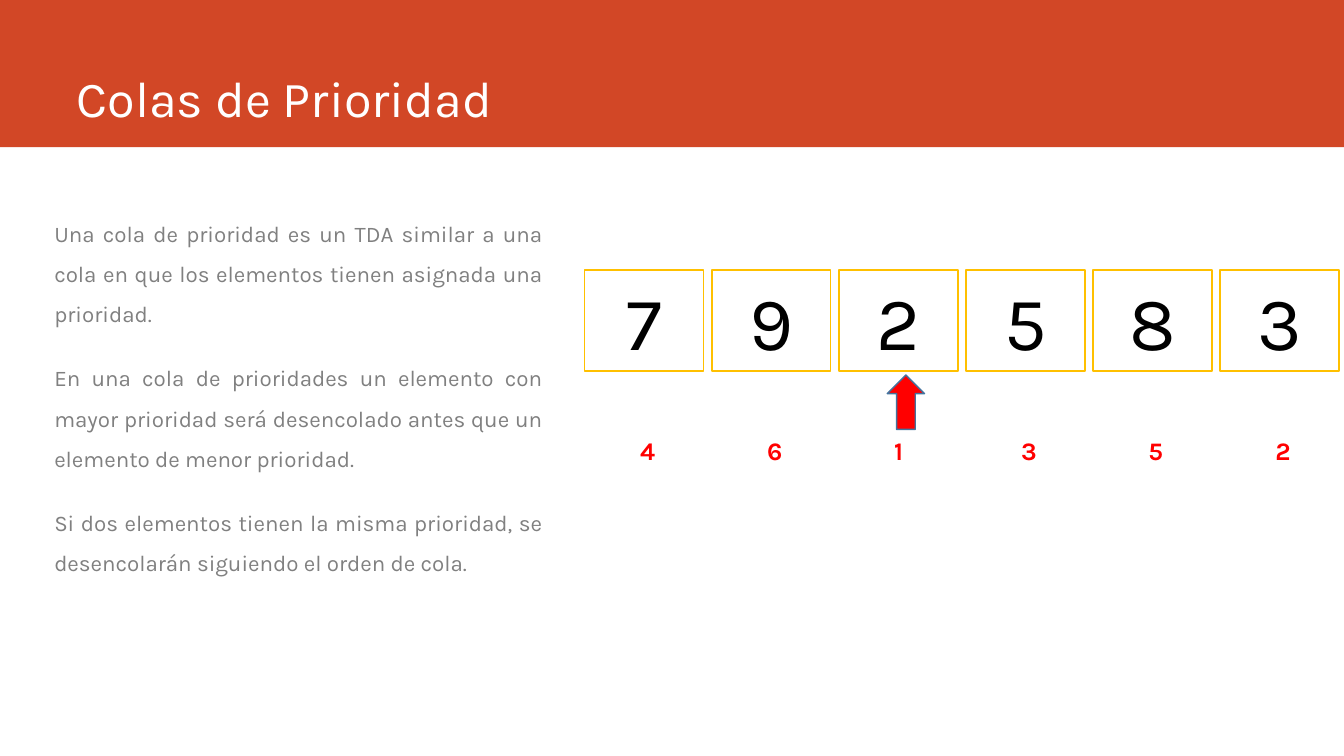
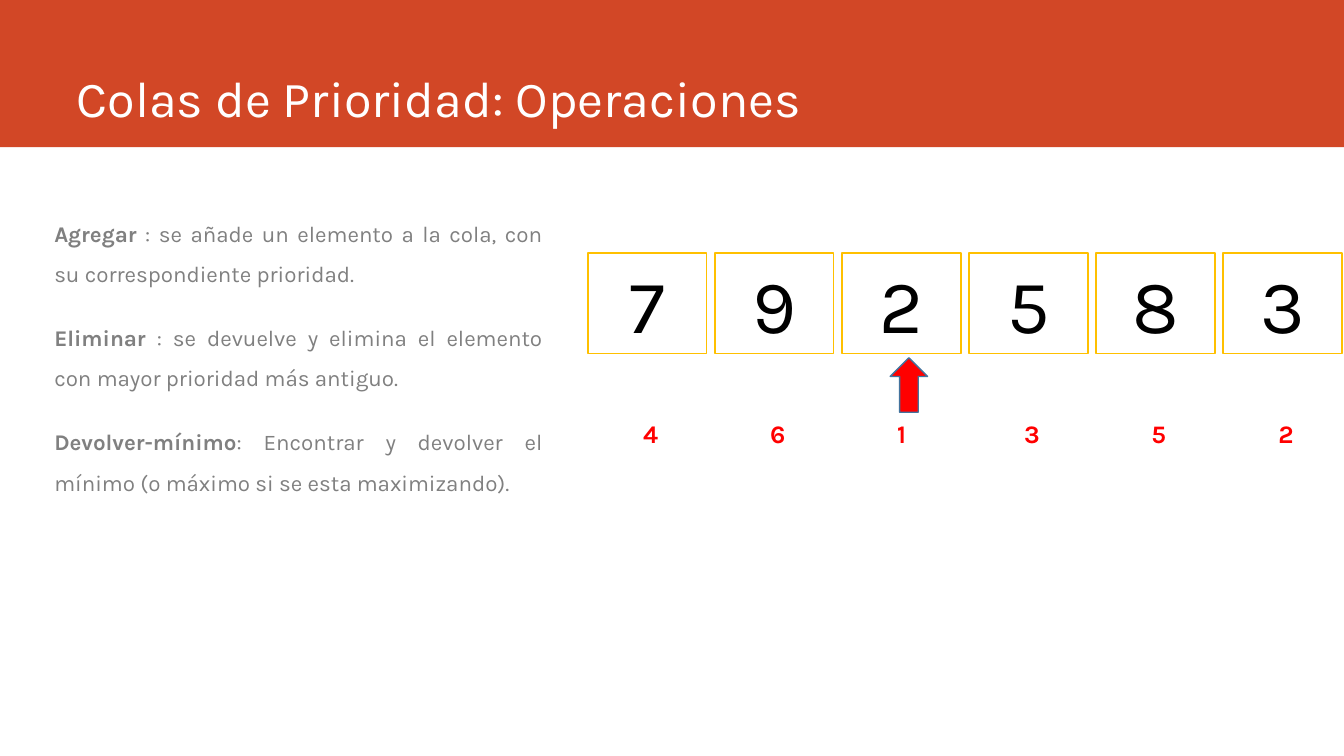
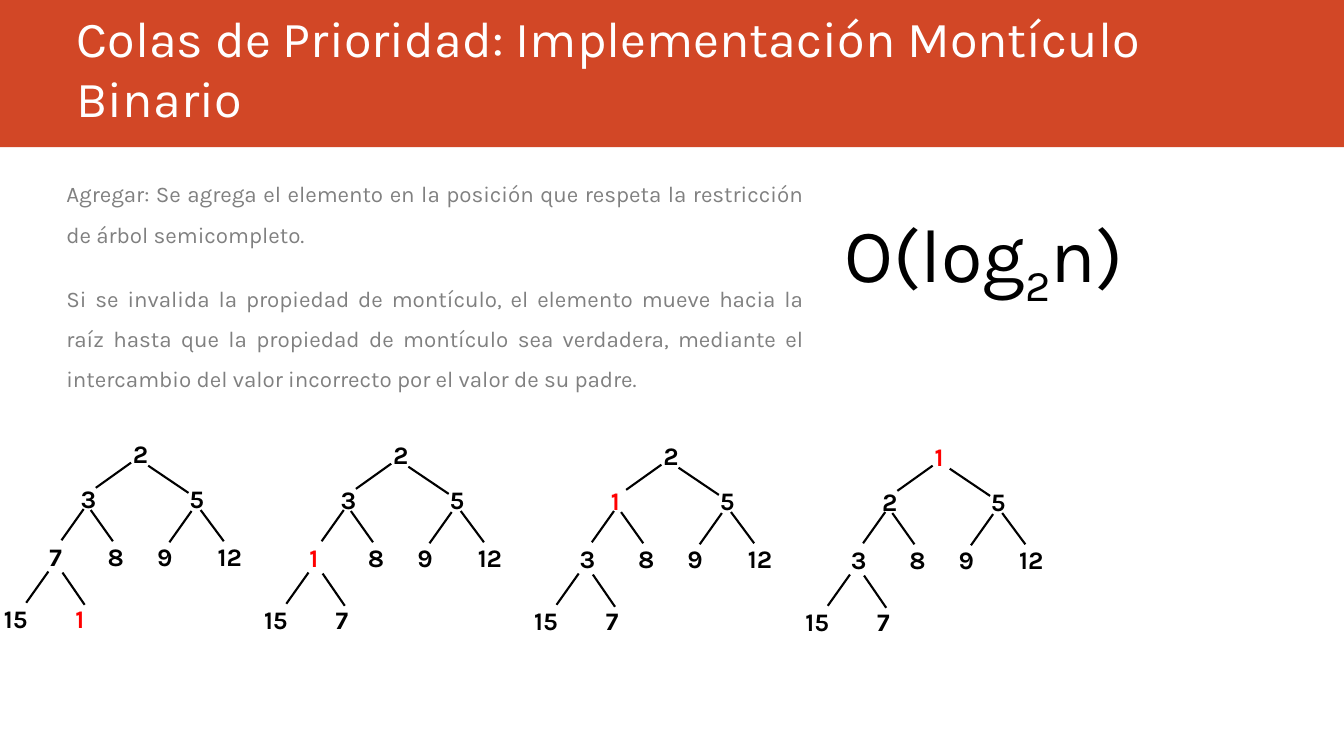
from dataclasses import dataclass

from lxml import etree
from pptx import Presentation
from pptx import util as u
from pptx.dml.color import RGBColor
from pptx.enum import shapes, text
from pptx.oxml.ns import qn

# Shared look
SLIDE_WIDTH, SLIDE_HEIGHT = 13.33, 7.5
BAND_HEIGHT = 1.46
FONT = "Karla"
ORANGE = RGBColor(0xD2, 0x47, 0x26)
WHITE = RGBColor(0xFF, 0xFF, 0xFF)
BLACK = RGBColor(0x00, 0x00, 0x00)
GRAY = RGBColor(0x80, 0x80, 0x80)
GOLD = RGBColor(0xFF, 0xC0, 0x00)
RED = RGBColor(0xFF, 0x00, 0x00)
BLUE = RGBColor(0x43, 0x73, 0x9E)


@dataclass(frozen=True)
class Box:
    left: float
    top: float
    width: float
    height: float

    def inches(self) -> tuple:
        return tuple(u.Inches(n) for n in (self.left, self.top, self.width, self.height))


@dataclass(frozen=True)
class Span:
    text: str
    bold: bool = False
    subscript: bool = False


@dataclass(frozen=True)
class QueueItem:
    value: int
    priority: int


@dataclass(frozen=True)
class TreeSlot:
    """Label offset from the root, and the edge up to the parent."""
    left: float
    top: float
    edge: tuple = ()


@dataclass(frozen=True)
class Tree:
    left: float
    top: float
    values: tuple
    marked: int


TITLE_BOX = Box(0.66, 0, 11.76, 1.32)
BODY_BOX = Box(0.44, 2, 5.04, 4.76)

# Queue: six columns at an equal pitch
QUEUE = (QueueItem(7, 4), QueueItem(9, 6), QueueItem(2, 1),
         QueueItem(5, 3), QueueItem(8, 5), QueueItem(3, 2))
QUEUE_PITCH = 1.26

# Heap: slots in level order
LEVELS = (0, 0.45, 1.02, 1.64)
SLOTS = (
    TreeSlot(0, LEVELS[0]),
    TreeSlot(-0.52, LEVELS[1], (-0.27, 0.54, 0.08, 0.29)),
    TreeSlot(0.56, LEVELS[1], (0.65, 0.59, 0.25, 0.32)),
    TreeSlot(-0.83, LEVELS[2], (-0.61, 1.06, -0.39, 0.75)),
    TreeSlot(-0.25, LEVELS[2], (-0.1, 1.07, -0.32, 0.76)),
    TreeSlot(0.24, LEVELS[2], (0.46, 1.08, 0.68, 0.77)),
    TreeSlot(0.84, LEVELS[2], (1, 1.07, 0.77, 0.76)),
    TreeSlot(-1.28, LEVELS[3], (-0.96, 1.68, -0.74, 1.37)),
    TreeSlot(-0.57, LEVELS[3], (-0.38, 1.7, -0.6, 1.38)),
)
TREES = (
    Tree(1.22, 4.3, (2, 3, 5, 7, 8, 9, 12, 15, 1), 8),
    Tree(3.8, 4.31, (2, 3, 5, 1, 8, 9, 12, 15, 7), 3),
    Tree(6.48, 4.32, (2, 1, 5, 3, 8, 9, 12, 15, 7), 1),
    Tree(9.17, 4.33, (1, 2, 5, 3, 8, 9, 12, 15, 7), 0),
)

# Wording
DEFINITION = (
    (Span("Una cola de prioridad es un TDA similar a una cola en que los elementos "
          "tienen asignada una prioridad."),),
    (Span("En una cola de prioridades un elemento con mayor prioridad será desencolado "
          "antes que un elemento de menor prioridad."),),
    (Span("Si dos elementos tienen la misma prioridad, se desencolarán siguiendo el "
          "orden de cola."),),
)
OPERATIONS = (
    (Span("Agregar", bold=True),
     Span(" : se añade un elemento a la cola, con su correspondiente prioridad.")),
    (Span("Eliminar", bold=True),
     Span(" : se devuelve y elimina el elemento con mayor prioridad más antiguo.")),
    (Span("Devolver-mínimo", bold=True),
     Span(": Encontrar y devolver el mínimo (o máximo si se esta maximizando).")),
)
INSERTION = (
    (Span("Agregar: Se agrega el elemento en la posición que respeta la restricción de "
          "árbol semicompleto."),),
    (Span("Si se invalida la propiedad de montículo, el elemento mueve hacia la raíz "
          "hasta que la propiedad de montículo sea verdadera, mediante el intercambio "
          "del valor incorrecto por el valor de su padre."),),
)
COMPLEXITY = ((Span("O(log"), Span("2", subscript=True), Span("n)")),)


def format_run(run, size: float, color: RGBColor, bold: bool = False) -> None:
    run.font.name = FONT
    run.font.size = u.Pt(size)
    run.font.color.rgb = color
    run.font.bold = bold


def add_text(slide, box: Box, paragraphs: tuple, size: float, color: RGBColor,
             align=text.PP_ALIGN.LEFT, wrap: bool = True):
    frame = slide.shapes.add_textbox(*box.inches()).text_frame
    frame.word_wrap = wrap
    for index, spans in enumerate(paragraphs):
        paragraph = frame.add_paragraph() if index else frame.paragraphs[0]
        paragraph.alignment = align
        for span in spans:
            run = paragraph.add_run()
            run.text = span.text
            format_run(run, size, color, span.bold)
            if span.subscript:
                run._r.get_or_add_rPr().set("baseline", "-25000")
    return frame


def add_body(slide, paragraphs: tuple, box: Box = BODY_BOX) -> None:
    frame = add_text(slide, box, paragraphs, 16, GRAY, text.PP_ALIGN.JUSTIFY)
    for paragraph in frame.paragraphs:
        paragraph.line_spacing = 1.5
        paragraph.space_before = u.Pt(5)
        paragraph.space_after = u.Pt(12)


def add_label(slide, left: float, top: float, value: int, color: RGBColor) -> None:
    width = 0.51 if value > 9 else 0.35
    add_text(slide, Box(left, top, width, 0.4), ((Span(str(value), bold=True),),), 18, color)


def add_filled(slide, kind, box: Box, fill: RGBColor, line: RGBColor):
    shape = slide.shapes.add_shape(kind, *box.inches())
    shape.shadow.inherit = False
    shape.fill.solid()
    shape.fill.fore_color.rgb = fill
    shape.line.color.rgb = line
    shape.line.width = u.Pt(1)
    return shape


def add_edge(slide, tree: Tree, edge: tuple) -> None:
    start_x, start_y, end_x, end_y = edge
    connector = slide.shapes.add_connector(
        shapes.MSO_CONNECTOR.STRAIGHT,
        u.Inches(tree.left + start_x), u.Inches(tree.top + start_y),
        u.Inches(tree.left + end_x), u.Inches(tree.top + end_y))
    connector.line.color.rgb = BLACK
    connector.line.width = u.Pt(1.5)
    etree.SubElement(connector.element.spPr, qn("a:effectLst"))


def add_queue(slide, left: float, top: float) -> None:
    for column, item in enumerate(QUEUE):
        cell_left = left + column * QUEUE_PITCH
        cell = add_filled(slide, shapes.MSO_SHAPE.RECTANGLE,
                          Box(cell_left, top, 1.18, 1), WHITE, GOLD)
        cell.text_frame.text = str(item.value)
        cell.text_frame.vertical_anchor = text.MSO_ANCHOR.MIDDLE
        paragraph = cell.text_frame.paragraphs[0]
        paragraph.alignment = text.PP_ALIGN.CENTER
        format_run(paragraph.runs[0], 54, BLACK)
        add_label(slide, cell_left + 0.45, top + 1.59, item.priority, RED)
        if item.priority == 1:
            add_filled(slide, shapes.MSO_SHAPE.UP_ARROW,
                       Box(cell_left + 0.48, top + 1.04, 0.37, 0.54), RED, BLUE)


def add_tree(slide, tree: Tree) -> None:
    for index, (slot, value) in enumerate(zip(SLOTS, tree.values)):
        add_label(slide, tree.left + slot.left, tree.top + slot.top, value,
                  RED if index == tree.marked else BLACK)
        if slot.edge:
            add_edge(slide, tree, slot.edge)


def add_titled_slide(presentation, title: str):
    slide = presentation.slides.add_slide(presentation.slide_layouts[5])
    shape = slide.shapes.title
    shape.left, shape.top, shape.width, shape.height = TITLE_BOX.inches()
    frame = shape.text_frame
    frame.text = title
    frame.word_wrap = True
    frame.auto_size = text.MSO_AUTO_SIZE.NONE
    frame.vertical_anchor = text.MSO_ANCHOR.BOTTOM
    frame.paragraphs[0].alignment = text.PP_ALIGN.LEFT
    format_run(frame.paragraphs[0].runs[0], 36, WHITE)
    return slide


def move_band_to_layout(slide) -> None:
    """Draw the title band and hand it to the layout all slides use."""
    band = add_filled(slide, shapes.MSO_SHAPE.RECTANGLE,
                      Box(0, 0, SLIDE_WIDTH, BAND_HEIGHT), ORANGE, ORANGE)
    band.line.fill.background()
    title, *footers = slide.slide_layout.placeholders
    for footer in footers:
        footer.element.getparent().remove(footer.element)
    title.element.addprevious(band.element)


def main() -> None:
    presentation = Presentation()
    presentation.slide_width = u.Inches(SLIDE_WIDTH)
    presentation.slide_height = u.Inches(SLIDE_HEIGHT)

    # Definition
    slide = add_titled_slide(presentation, "Colas de Prioridad")
    move_band_to_layout(slide)
    add_body(slide, DEFINITION)
    add_queue(slide, 5.8, 2.68)

    # Operations
    slide = add_titled_slide(presentation, "Colas de Prioridad: Operaciones")
    add_body(slide, OPERATIONS)
    add_queue(slide, 5.83, 2.51)

    # Insertion into a binary heap
    slide = add_titled_slide(presentation,
                             "Colas de Prioridad: Implementación Montículo Binario")
    add_body(slide, INSERTION, Box(0.56, 1.61, 7.51, 2.9))
    add_text(slide, Box(8.26, 2, 3, 1.01), COMPLEXITY, 54, BLACK,
             text.PP_ALIGN.CENTER, wrap=False)
    for tree in TREES:
        add_tree(slide, tree)

    presentation.save("out.pptx")


if __name__ == "__main__":
    main()
